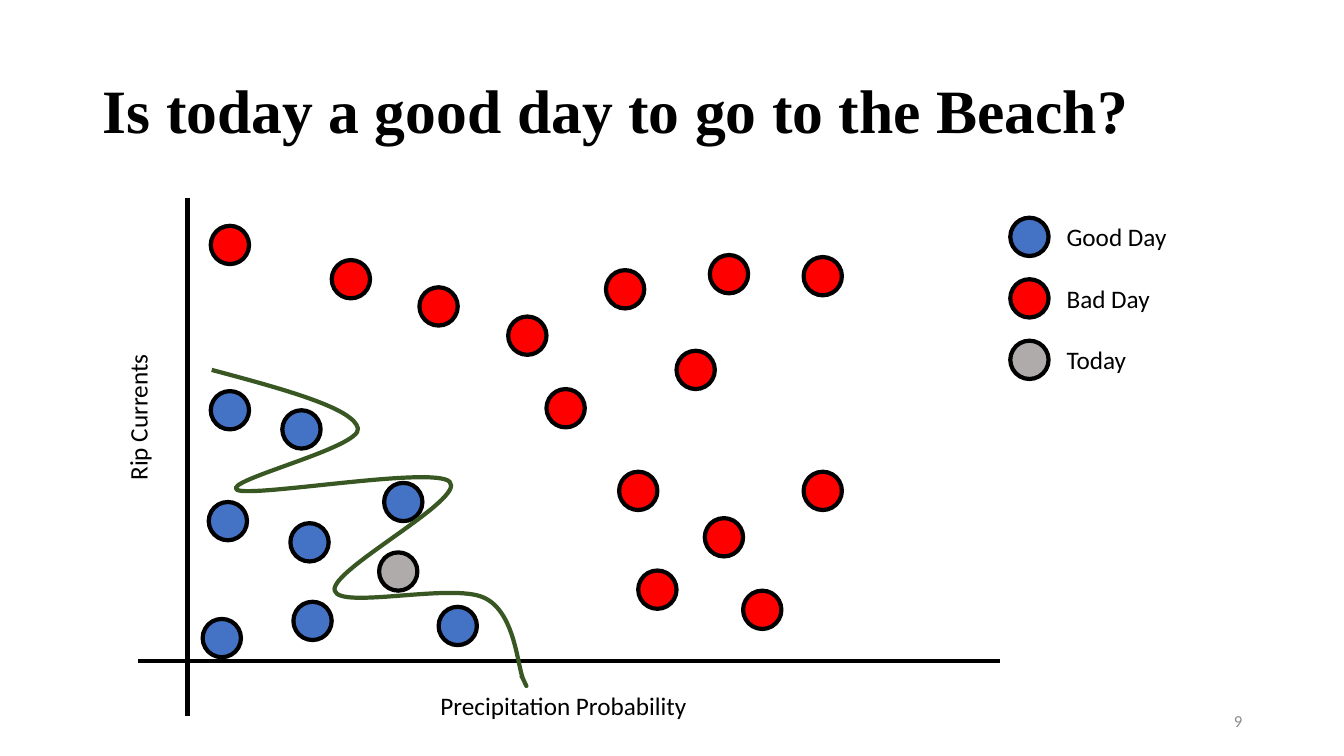
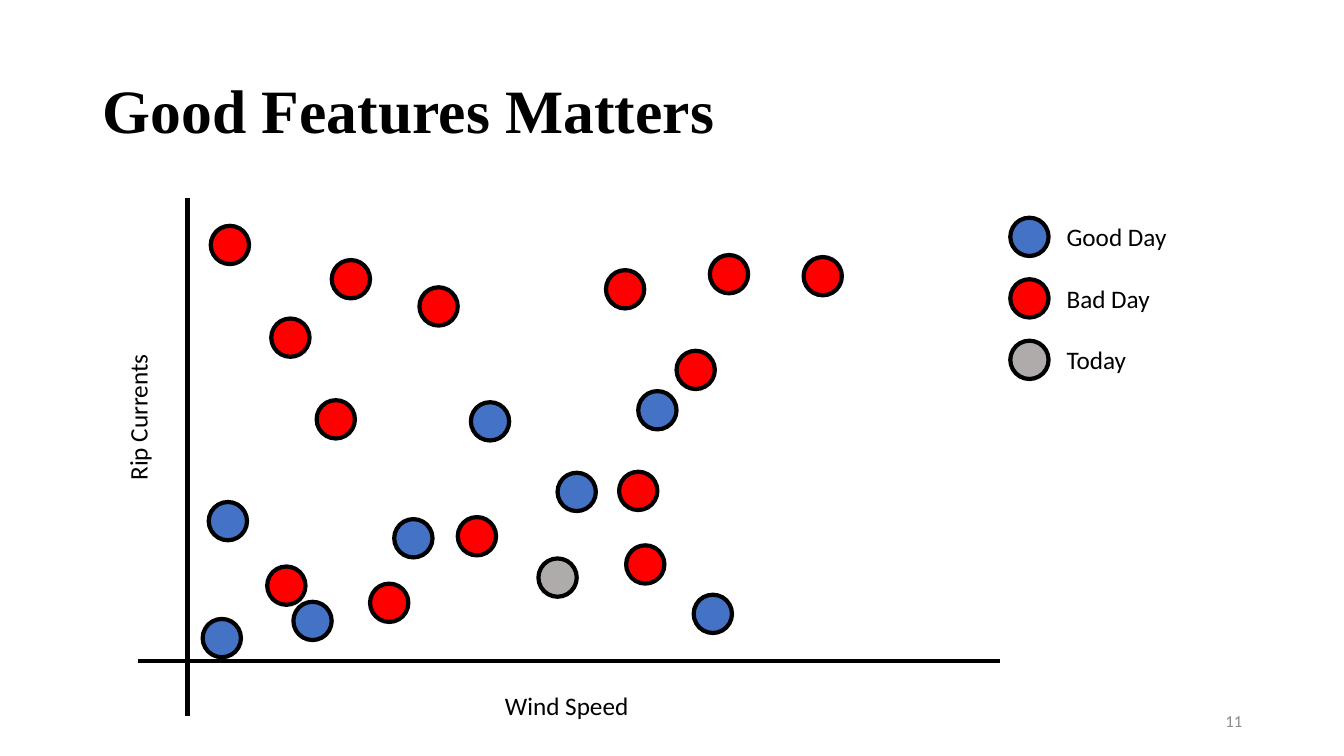
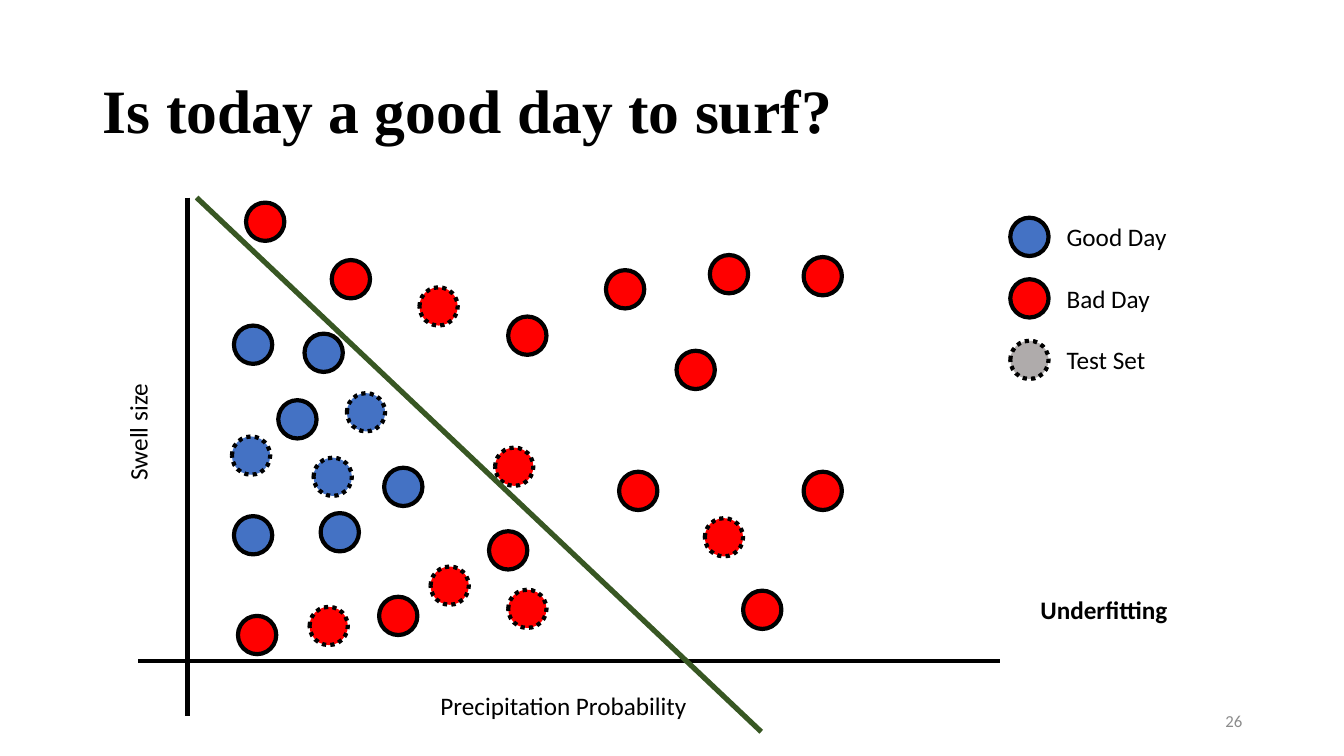
from dataclasses import dataclass
from typing import Any

import pptx
import pptx.dml.color
import pptx.enum.dml
import pptx.enum.shapes
import pptx.enum.text
import pptx.oxml
import pptx.oxml.ns
import pptx.util

Point = tuple[float, float]
CM_PER_UNIT = 2.54  # positions below are in inches


# Theme
@dataclass(frozen=True)
class Theme:
    ink: str = "000000"
    good: str = "4472C4"
    bad: str = "FF0000"
    unknown: str = "AFABAB"
    boundary: str = "385723"
    muted: str = "8C8C8C"
    title_font: str = "Times New Roman"
    body_font: str = "Calibri"
    title_size: int = 44
    body_size: int = 18
    number_size: int = 12
    line_width: float = 3
    boundary_width: float = 3.75


THEME = Theme()
DOT_SIZE = 0.38
LABEL_HEIGHT = 0.4
LEGEND_LEFT, LEGEND_TOP, LEGEND_STEP = 10.02, 2.16, 0.61


# Content records
@dataclass(frozen=True)
class Dots:
    color: str
    places: tuple[Point, ...]
    dotted: bool = False


@dataclass(frozen=True)
class Plot:
    title: str
    number: int
    x_label: str
    x_label_left: float
    y_label: str
    dots: tuple[Dots, ...]
    third_key: str = "Today"
    third_dotted: bool = False
    curve: tuple[Point, ...] = ()
    straight: tuple[Point, ...] = ()
    remark: str = ""


SHARED_BAD: tuple[Point, ...] = (
    (6.14, 4.68), (6.71, 3.48), (7.97, 2.55), (6.01, 2.68), (7.04, 2.53), (3.29, 2.58),
)

PLOTS = (
    Plot(
        "Is today a good day to go to the Beach?", 9,
        "Precipitation Probability", 4.27, "Rip Currents",
        dots=(
            Dots(THEME.bad, SHARED_BAD + (
                (6.33, 5.66), (6.99, 5.14), (7.37, 5.86), (7.97, 4.68),
                (4.16, 2.85), (5.04, 3.14), (5.42, 3.86), (2.09, 2.24))),
            Dots(THEME.good, (
                (2.09, 3.88), (2.8, 4.07), (2.01, 6.14), (2.07, 4.98),
                (2.88, 5.19), (2.91, 5.97), (3.81, 4.79), (4.35, 6.02))),
            Dots(THEME.unknown, ((3.76, 5.48),)),
        ),
        # start point, then three points for each Bézier segment
        curve=(
            (2.1, 3.67),
            (2.81, 3.86), (3.51, 4.05), (3.55, 4.25),
            (3.59, 4.44), (2.2, 4.77), (2.35, 4.86),
            (2.5, 4.94), (4.3, 4.62), (4.46, 4.78),
            (4.63, 4.95), (3.26, 5.66), (3.32, 5.86),
            (3.37, 6.05), (4.49, 5.78), (4.8, 5.93),
            (5.11, 6.07), (5.13, 6.61), (5.19, 6.74),
            (5.25, 6.87), (5.21, 6.78), (5.17, 6.7),
        ),
    ),
    Plot(
        "Good Features Matters", 11, "Wind Speed", 4.91, "Rip Currents",
        dots=(
            Dots(THEME.bad, SHARED_BAD + (
                (2.65, 5.62), (4.54, 5.13), (3.67, 5.79), (6.21, 5.41),
                (4.16, 2.85), (2.69, 3.16), (3.14, 3.97), (2.09, 2.24))),
            Dots(THEME.good, (
                (4.67, 3.99), (6.33, 3.88), (2.01, 6.14), (2.07, 4.98),
                (3.91, 5.15), (2.91, 5.97), (5.53, 4.69), (6.88, 5.9))),
            Dots(THEME.unknown, ((5.34, 5.54),)),
        ),
    ),
    Plot(
        "Is today a good day to surf?", 26,
        "Precipitation Probability", 4.27, "Swell size",
        dots=(
            Dots(THEME.bad, SHARED_BAD + (
                (7.37, 5.86), (7.97, 4.68), (5.04, 3.14), (2.44, 2.01),
                (2.36, 6.11), (3.76, 5.92), (4.85, 5.27))),
            Dots(THEME.bad, (
                (5.04, 5.85), (6.99, 5.14), (4.16, 2.85), (4.91, 4.44),
                (4.27, 5.62), (3.07, 6.02)), dotted=True),
            Dots(THEME.good, (
                (2.32, 3.23), (3.02, 3.31), (2.32, 5.12), (3.18, 5.09),
                (3.81, 4.64), (2.76, 3.97))),
            Dots(THEME.good, ((2.3, 4.33), (3.11, 4.54), (3.44, 3.9)), dotted=True),
        ),
        third_key="Test Set", third_dotted=True,
        straight=((1.95, 1.96), (7.55, 7.26)), remark="Underfitting",
    ),
)


# Drawing helpers
def length(units: float) -> int:
    return pptx.util.Cm(units * CM_PER_UNIT)


def lengths(*units: float) -> list[int]:
    return [length(unit) for unit in units]


def rgb(color: str) -> Any:
    return pptx.dml.color.RGBColor.from_string(color)


def assign(target: Any, values: dict[str, Any]) -> None:
    for name, value in values.items():
        setattr(target, name, value)


def write(frame: Any, text: str, font: str, size: float, color: str,
          bold: bool = False, align: str = "LEFT") -> Any:
    para = frame.paragraphs[0]
    para.alignment = getattr(pptx.enum.text.PP_ALIGN, align)
    span = para.add_run()
    span.text = text
    assign(span.font, {"name": font, "size": pptx.util.Pt(size), "bold": bold})
    span.font.color.rgb = rgb(color)
    return para


def add_label(page: Any, text: str, left: float, top: float, width: float,
              rotation: float = 0, bold: bool = False) -> None:
    box = page.shapes.add_textbox(*lengths(left, top, width, LABEL_HEIGHT))
    box.rotation = rotation
    assign(box.text_frame, {
        "word_wrap": True,
        "auto_size": pptx.enum.text.MSO_AUTO_SIZE.SHAPE_TO_FIT_TEXT,
    })
    write(box.text_frame, text, THEME.body_font, THEME.body_size, THEME.ink, bold)


def style_line(line: Any, color: str, width: float) -> None:
    line.color.rgb = rgb(color)
    line.width = pptx.util.Pt(width)


def add_dot(page: Any, place: Point, color: str, dotted: bool = False) -> None:
    dot = page.shapes.add_shape(
        pptx.enum.shapes.MSO_SHAPE.OVAL, *lengths(*place, DOT_SIZE, DOT_SIZE))
    dot.shadow.inherit = False
    dot.fill.solid()
    dot.fill.fore_color.rgb = rgb(color)
    style_line(dot.line, THEME.ink, THEME.line_width)
    if dotted:
        dot.line.dash_style = pptx.enum.dml.MSO_LINE.ROUND_DOT


def add_line(page: Any, start: Point, end: Point, color: str, width: float) -> None:
    line = page.shapes.add_connector(
        pptx.enum.shapes.MSO_CONNECTOR.STRAIGHT, *lengths(*start, *end))
    style_line(line.line, color, width)
    line.element.spPr.append(pptx.oxml.parse_xml(
        f"<a:effectLst {pptx.oxml.ns.nsdecls('a')}/>"))


def add_curve(page: Any, points: tuple[Point, ...]) -> None:
    start, *others = [tuple(lengths(*point)) for point in points]
    builder = page.shapes.build_freeform(*start)
    builder.add_line_segments(others, close=False)
    curve = builder.convert_to_shape()
    curve.shadow.inherit = False
    curve.fill.background()
    style_line(curve.line, THEME.boundary, THEME.line_width)
    # Each three straight steps become one Bézier segment
    steps = list(curve.element.iter(pptx.oxml.ns.qn("a:lnTo")))
    for index in range(0, len(steps), 3):
        bezier = pptx.oxml.parse_xml(f"<a:cubicBezTo {pptx.oxml.ns.nsdecls('a')}/>")
        steps[index].addprevious(bezier)
        for step in steps[index:index + 3]:
            bezier.append(step[0])
            step.getparent().remove(step)


# Slide parts
def add_title(page: Any, text: str) -> None:
    title = page.shapes.title
    assign(title, dict(zip(("left", "top", "width", "height"),
                           lengths(0.92, 0.4, 11.5, 1.45))))
    assign(title.text_frame, {
        "vertical_anchor": pptx.enum.text.MSO_ANCHOR.MIDDLE,
        "auto_size": pptx.enum.text.MSO_AUTO_SIZE.NONE,
        "word_wrap": True,
    })
    para = write(title.text_frame, text, THEME.title_font, THEME.title_size,
                 THEME.ink, bold=True)
    para.line_spacing = 0.9


def add_axes(page: Any, plot: Plot) -> None:
    add_line(page, (1.86, 1.96), (1.86, 7.1), THEME.ink, THEME.line_width)
    add_line(page, (1.37, 6.56), (9.92, 6.56), THEME.ink, THEME.line_width)
    add_label(page, plot.x_label, plot.x_label_left, 6.8, 2.74)
    add_label(page, plot.y_label, 0.51, 3.81, 1.71, rotation=270)


def add_legend(page: Any, plot: Plot) -> None:
    keys = (
        ("Good Day", THEME.good, False),
        ("Bad Day", THEME.bad, False),
        (plot.third_key, THEME.unknown, plot.third_dotted),
    )
    for row, (text, color, dotted) in enumerate(keys):
        top = LEGEND_TOP + row * LEGEND_STEP
        add_dot(page, (LEGEND_LEFT, top), color, dotted)
        add_label(page, text, 10.48, top - 0.01, 1.99)


def add_number(page: Any, number: int) -> None:
    box = page.shapes.add_textbox(*lengths(9.42, 6.95, 3, 0.4))
    assign(box.text_frame, {
        "word_wrap": True,
        "vertical_anchor": pptx.enum.text.MSO_ANCHOR.MIDDLE,
    })
    write(box.text_frame, str(number), THEME.body_font, THEME.number_size,
          THEME.muted, align="RIGHT")


def add_plot(deck: Any, plot: Plot) -> None:
    page = deck.slides.add_slide(deck.slide_layouts.get_by_name("Title Only"))
    add_title(page, plot.title)
    add_axes(page, plot)
    add_legend(page, plot)
    for group in plot.dots:
        for place in group.places:
            add_dot(page, place, group.color, group.dotted)
    if plot.curve:
        add_curve(page, plot.curve)
    if plot.straight:
        add_line(page, *plot.straight, THEME.boundary, THEME.boundary_width)
    if plot.remark:
        add_label(page, plot.remark, 10.22, 5.85, 1.52, bold=True)
    add_number(page, plot.number)


def main() -> None:
    deck = pptx.Presentation()
    assign(deck, {"slide_width": length(13.33), "slide_height": length(7.5)})
    for plot in PLOTS:
        add_plot(deck, plot)
    deck.save("out.pptx")


if __name__ == "__main__":
    main()
